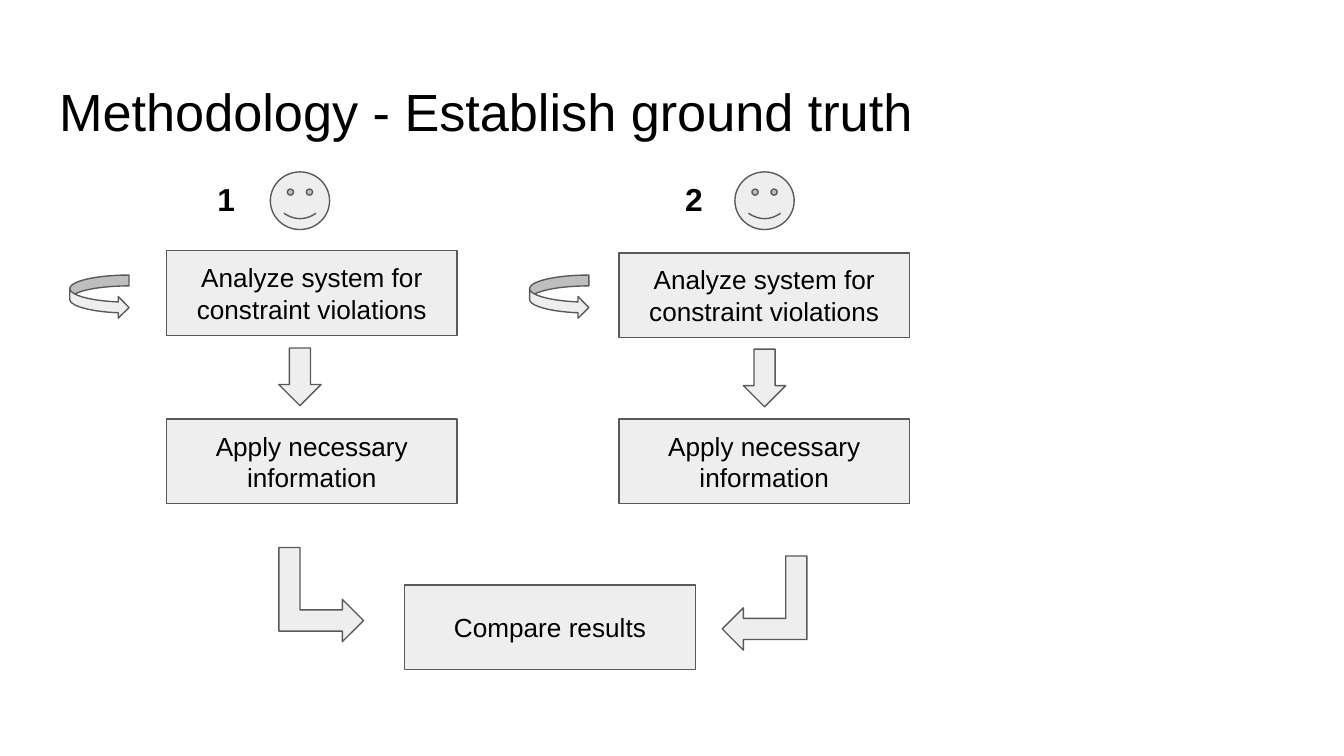
from dataclasses import dataclass

import pptx
import pptx.dml.color
import pptx.enum.shapes
import pptx.enum.text
import pptx.util

Cm = pptx.util.Cm
Pt = pptx.util.Pt
Kind = pptx.enum.shapes.MSO_SHAPE
Align = pptx.enum.text.PP_ALIGN
Anchor = pptx.enum.text.MSO_ANCHOR

COLORS = {"fill": "EEEEEE", "line": "595959", "text": "000000"}
BOX_WIDTH, BOX_HEIGHT = 5.49, 1.6


@dataclass
class Reviewer:
    number: str
    number_left: float
    center: float
    box_left: float
    loop_left: float
    analyze_top: float
    down_top: float
    bend_left: float
    bend_top: float
    bend_rotation: int
    bend_flipped: bool


REVIEWERS = [
    Reviewer("1", 3.86, 5.67, 3.15, 1.32, 4.74, 6.58, 5.18, 10.44, 90, False),
    Reviewer("2", 12.7, 14.45, 11.7, 10.01, 4.78, 6.6, 13.56, 10.6, 270, True),
]


def color(name: str) -> pptx.dml.color.RGBColor:
    return pptx.dml.color.RGBColor.from_string(COLORS[name])


def write(shape, text: str, size: int, align=Align.LEFT, anchor=Anchor.TOP, bold: bool = False) -> None:
    frame = shape.text_frame
    frame.word_wrap = True
    frame.vertical_anchor = anchor
    frame.margin_left = frame.margin_right = Cm(0.25)
    frame.margin_top = frame.margin_bottom = Cm(0.25)
    paragraph = frame.paragraphs[0]
    paragraph.text = text
    paragraph.alignment = align
    paragraph.font.name = "Arial"
    paragraph.font.size = Pt(size)
    paragraph.font.bold = bold
    paragraph.font.color.rgb = color("text")


def add_label(slide, text: str, left: float, top: float, width: float, height: float, size: int, bold: bool = False) -> None:
    label = slide.shapes.add_textbox(Cm(left), Cm(top), Cm(width), Cm(height))
    write(label, text, size, bold=bold)


def add_figure(slide, kind, left: float, top: float, width: float, height: float):
    shape = slide.shapes.add_shape(kind, Cm(left), Cm(top), Cm(width), Cm(height))
    shape.shadow.inherit = False
    shape.fill.solid()
    shape.fill.fore_color.rgb = color("fill")
    shape.line.color.rgb = color("line")
    shape.line.width = Pt(0.75)
    return shape


def add_step(slide, text: str, left: float, top: float) -> None:
    box = add_figure(slide, Kind.FLOWCHART_PROCESS, left, top, BOX_WIDTH, BOX_HEIGHT)
    write(box, text, 14, Align.CENTER, Anchor.MIDDLE)


def add_reviewer(slide, reviewer: Reviewer) -> None:
    add_label(slide, reviewer.number, reviewer.number_left, 3.15, 1.24, 1.3, 17, bold=True)
    add_figure(slide, Kind.SMILEY_FACE, reviewer.center - 0.56, 3.25, 1.12, 1.09)
    add_step(slide, "Analyze system for constraint violations", reviewer.box_left, reviewer.analyze_top)
    add_figure(slide, Kind.CURVED_RIGHT_ARROW, reviewer.loop_left, 5.2, 1.12, 0.82)
    add_figure(slide, Kind.DOWN_ARROW, reviewer.center - 0.4, reviewer.down_top, 0.8, 1.09)
    add_step(slide, "Apply necessary information", reviewer.box_left, 7.92)
    bend = add_figure(slide, Kind.BENT_UP_ARROW, reviewer.bend_left, reviewer.bend_top, 1.78, 1.6)
    bend.rotation = reviewer.bend_rotation
    if reviewer.bend_flipped:
        bend.element.spPr.get_or_add_xfrm().set("flipH", "1")


presentation = pptx.Presentation()
presentation.slide_width = Cm(25.4)
presentation.slide_height = Cm(14.29)
slide = presentation.slides.add_slide(presentation.slide_layouts[6])

add_label(slide, "Methodology - Establish ground truth", 0.87, 1.24, 23.67, 1.6, 28)
for reviewer in REVIEWERS:
    add_reviewer(slide, reviewer)
add_step(slide, "Compare results", 7.65, 11.06)

presentation.save("out.pptx")
